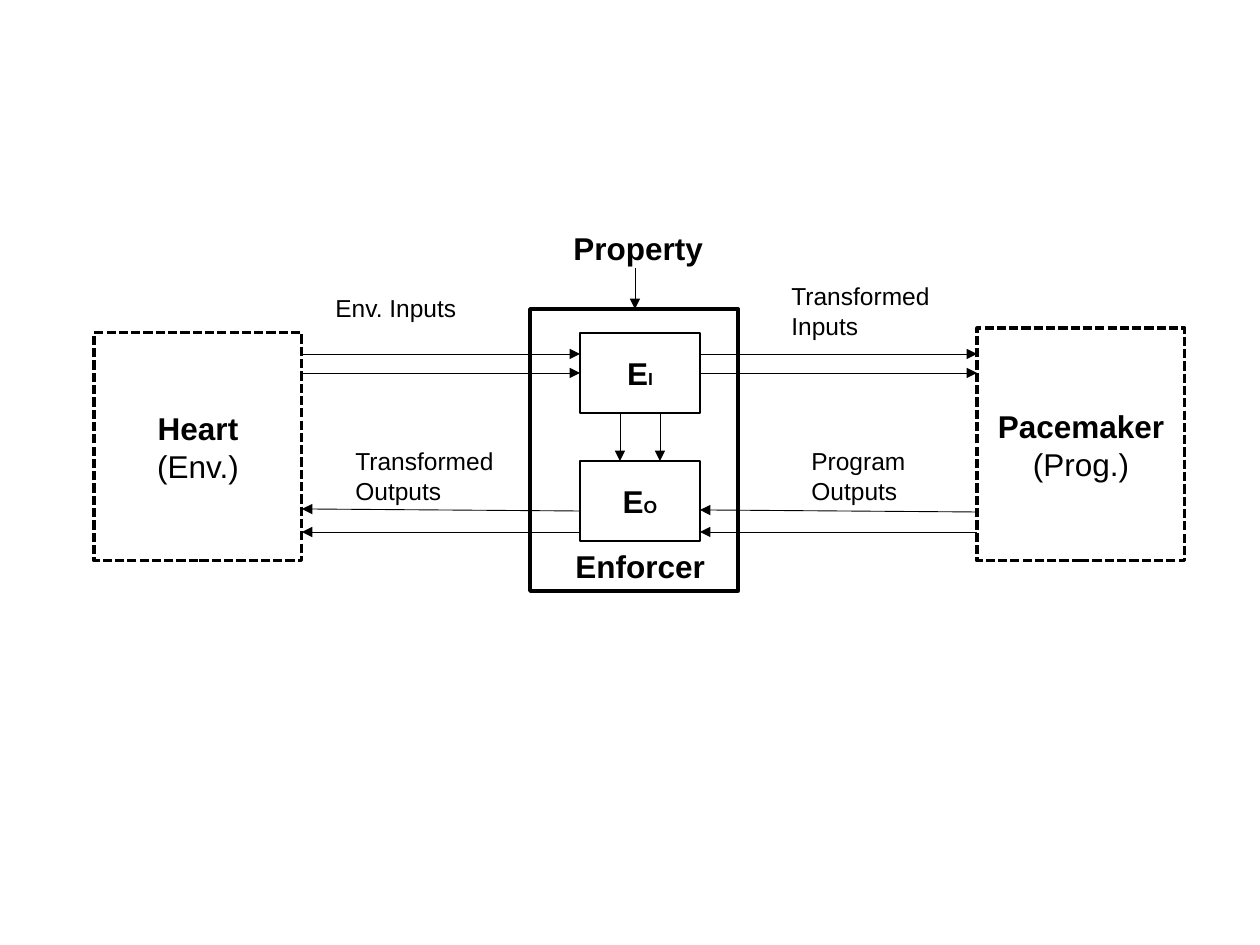
from pptx import Presentation
from pptx.dml.color import RGBColor as Rgb
from pptx.enum.dml import MSO_LINE as Dash
from pptx.enum.shapes import MSO_CONNECTOR as Link, MSO_SHAPE as Shape
from pptx.enum.text import MSO_ANCHOR as Anchor, MSO_AUTO_SIZE as Auto, PP_ALIGN as Align
from pptx.oxml.ns import qn
from pptx.util import Pt
from lxml.etree import SubElement as Sub

PX = 914400 / 126
HUES = {"ink": "000000", "paper": "FFFFFF"}
BOLD = {"size": Pt(18), "bold": True}
PLAIN = {"size": Pt(18), "bold": False}
SMALL = {"size": Pt(10), "bold": True}
NOTE = {"size": Pt(14), "bold": False}


def emu(*nums):
    """Turn px lengths into EMU."""
    return [round(n * PX) for n in nums]


def hue(name):
    """Give a colour by name."""
    return Rgb.from_string(HUES[name])


def style(item, form):
    """Set each format value on an item."""
    for key, val in form.items():
        setattr(item, key, val)


def write(frame, paras, align):
    """Fill a text frame with paragraphs of (text, format) runs."""
    for i, runs in enumerate(paras):
        para = frame.add_paragraph() if i else frame.paragraphs[0]
        para.alignment = align
        for text, form in runs:
            run = para.add_run()
            run.text = text
            style(run.font, {"name": "Arial", **form})
            run.font.color.rgb = hue("ink")


def box(slide, area, width, paras=(), dash=None, fill=None):
    """Draw an outlined box with centred text."""
    rect = slide.shapes.add_shape(Shape.RECTANGLE, *emu(*area))
    rect.shadow.inherit = False
    if fill:
        rect.fill.solid()
        rect.fill.fore_color.rgb = hue(fill)
    else:
        rect.fill.background()
    rect.line.color.rgb = hue("ink")
    style(rect.line, {"width": Pt(width), "dash_style": dash})
    style(rect.text_frame, {"word_wrap": True, "vertical_anchor": Anchor.MIDDLE})
    write(rect.text_frame, paras, Align.CENTER)


def label(slide, area, text, form, wrap=True):
    """Place a left-aligned label."""
    frame = slide.shapes.add_textbox(*emu(*area)).text_frame
    style(frame, {"word_wrap": wrap, "auto_size": Auto.SHAPE_TO_FIT_TEXT})
    write(frame, [[(text, form)]], Align.LEFT)


def arrow(slide, *ends):
    """Draw a thin arrow from one point to another."""
    link = slide.shapes.add_connector(Link.STRAIGHT, *emu(*ends))
    link.line.color.rgb = hue("ink")
    link.line.width = Pt(0.5)
    Sub(link.line._get_or_add_ln(), qn("a:tailEnd"), type="triangle")
    Sub(link._element.spPr, qn("a:effectLst"))


def main():
    """Build the enforcer slide."""
    deck = Presentation()
    style(deck, dict(zip(("slide_width", "slide_height"), emu(1260, 945))))
    slide = deck.slides.add_slide(deck.slide_layouts[6])

    for area, name, role in (
        ((94, 333, 208, 228), "Heart", "(Env.)"),
        ((977, 328, 208, 233), "Pacemaker", "(Prog.)"),
    ):
        paras = [[(name, BOLD)], [(role, PLAIN)]]
        box(slide, area, 1.75, paras, Dash.SQUARE_DOT)

    box(slide, (530, 309, 208, 282), 2)
    for top, sub, fill in ((333, "I", None), (461, "O", "paper")):
        box(slide, (580, top, 120, 80), 1, [[("E", BOLD), (sub, SMALL)]], fill=fill)

    arrow(slide, 635, 268, 635, 309)
    for x in (620, 660):
        arrow(slide, x, 413, x, 461)
    for left, right in ((302, 580), (700, 977)):
        for y in (354, 373):
            arrow(slide, left, y, right, y)
        arrow(slide, right, 532, left, 532)
    arrow(slide, 977, 512, 700, 510)
    arrow(slide, 580, 511, 302, 509)

    label(slide, (561, 223, 169, 50), "Property", BOLD)
    label(slide, (563, 541, 155, 50), "Enforcer", BOLD, False)
    for area, text in (
        ((323, 287, 189, 43), "Env. Inputs"),
        ((779, 275, 189, 72), "Transformed Inputs"),
        ((799, 440, 189, 72), "Program Outputs"),
        ((343, 440, 188, 72), "Transformed Outputs"),
    ):
        label(slide, area, text, NOTE)
    deck.save("out.pptx")


if __name__ == "__main__":
    main()
